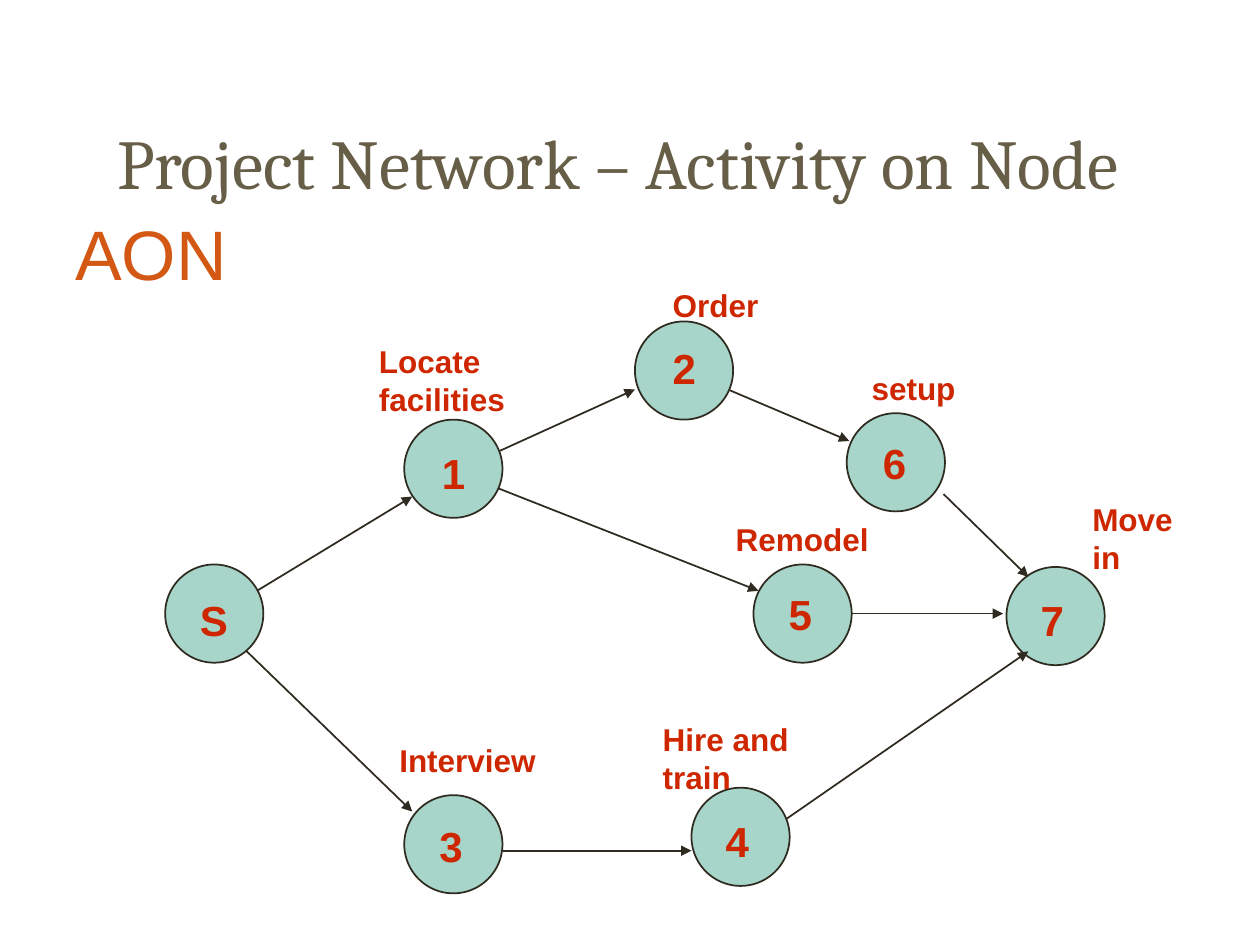
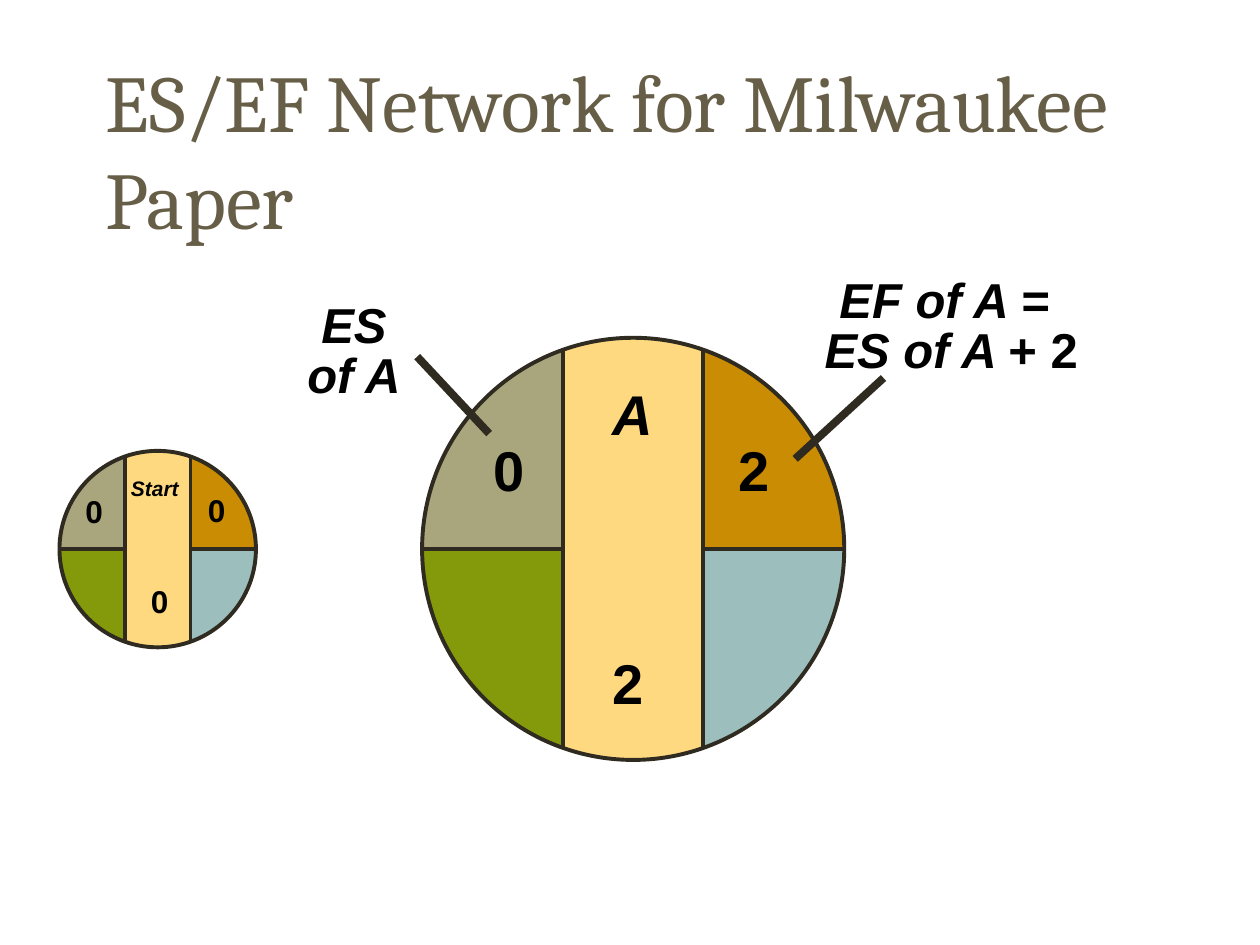
import math
from lxml import etree
from pptx import Presentation
from pptx import util as u
from pptx.dml import color
from pptx.enum import shapes, text
from pptx.oxml import ns

COLORS = {
    "title": "675E47", "accent": "D25814", "label": "CE2700", "ink": "000000",
    "line": "2F2B20", "node": "A7D5C9", "bar": "FFD980", "early start": "A9A57C",
    "early finish": "CA8C02", "late start": "849A0A", "late finish": "9CBEBD",
}
BODY_FONT, TITLE_FONT = "Arial", "Cambria"
TITLE_WIDTH = 21.59

NODE_SIZE = 1.98
NODES = [
    ("S", 3.33, 11.38, 3.78, 11.86),
    ("1", 8.15, 8.46, 8.66, 8.89),
    ("2", 12.8, 6.48, 13.31, 6.78),
    ("3", 8.15, 16.03, 8.61, 16.41),
    ("4", 13.94, 15.88, 14.38, 16.31),
    ("5", 15.19, 11.38, 15.65, 11.73),
    ("6", 17.07, 8.33, 17.55, 8.69),
    ("7", 20.29, 11.43, 20.73, 11.86),
]
ACTIVITIES = [
    ("Locate\vfacilities", 7.39, 6.78, 3.3, 1.78),
    ("Order", 13.31, 5.64, 2.5, 1.02),
    ("setup", 17.32, 7.32, 2.5, 1.02),
    ("Interview", 7.8, 14.81, 3.6, 1.02),
    ("Remodel", 14.58, 10.36, 3.5, 1.02),
    ("Move\vin", 21.77, 9.96, 2.77, 1.78),
    ("Hire and\vtrain", 13.11, 14.4, 3.3, 1.78),
]
ARROWS_BEHIND_NODES = [
    (13.94, 7.54, 17.12, 8.89),
    (9.17, 9.5, 15.29, 11.91),
    (16.15, 12.37, 20.22, 12.37),
    (4.24, 12.42, 8.31, 16.36),
    (9.17, 9.5, 12.8, 7.85),
    (4.34, 12.42, 8.31, 10.01),
]
ARROWS_OVER_NODES = [
    (10.13, 17.15, 13.94, 17.15),
    (15.85, 16.51, 20.73, 13.13),
    (19.02, 9.96, 20.73, 11.63),
]

DIALS = [(1.2, 9.09, 3.96), (8.51, 6.81, 8.51)]
QUARTERS = [("early start", -1, -1), ("early finish", 1, -1),
            ("late finish", 1, 1), ("late start", -1, 1)]
DIAL_TEXTS = [
    ("Start", 2.39, 9.47, 1.6, 0.76, 12, True),
    ("0", 1.47, 9.8, 1, 1.02, 18, False),
    ("0", 2.79, 11.61, 1, 1.02, 18, False),
    ("0", 3.94, 9.78, 1, 1.02, 18, False),
    ("A", 12.09, 7.52, 1.4, 1.63, 32, True),
    ("2", 12.09, 12.94, 1.3, 1.63, 32, False),
    ("2", 14.63, 8.66, 1.3, 1.63, 32, False),
    ("0", 9.7, 8.66, 1.3, 1.63, 32, False),
]
CALLOUTS = [
    (["EF of A = \vES of A ", "+ 2"], (16.23, 5.49, 5.89, 2.29), (17.81, 7.62, 16.03, 9.25)),
    (["ES\vof A"], (5.66, 5.99, 2.95, 2.29), (8.41, 7.19, 9.86, 8.74)),
]


def rgb(name):
    return color.RGBColor.from_string(COLORS[name])


def cm(*lengths):
    return [u.Cm(round(length, 2)) for length in lengths]


def style_run(run, size, color_name, font=BODY_FONT, bold=False, italic=False):
    run.font.size = u.Pt(size)
    run.font.name = font
    run.font.bold = bold
    run.font.italic = italic
    run.font.color.rgb = rgb(color_name)


def add_text(slide, content, box, size, color_name, **style):
    shape = slide.shapes.add_textbox(*cm(*box))
    shape.text_frame.word_wrap = True
    paragraph = shape.text_frame.paragraphs[0]
    paragraph.text = content
    for run in paragraph.runs:
        style_run(run, size, color_name, **style)
    return shape


def add_title(slide, content, left, top, height, size, anchor):
    shape = add_text(slide, content, (left, top, TITLE_WIDTH, height), size, "title",
                     font=TITLE_FONT)
    shape.text_frame.vertical_anchor = anchor


def paint(shape, fill=None, line_width=None):
    shape.shadow.inherit = False
    if fill:
        shape.fill.solid()
        shape.fill.fore_color.rgb = rgb(fill)
    else:
        shape.fill.background()
    if line_width:
        shape.line.color.rgb = rgb("line")
        shape.line.width = u.Pt(line_width)
    else:
        shape.line.fill.background()


def add_circle(slide, left, top, size, fill=None, line_width=None):
    circle = slide.shapes.add_shape(shapes.MSO_SHAPE.OVAL, *cm(left, top, size, size))
    paint(circle, fill, line_width)


def add_line(slide, ends, width, arrow=False):
    connector = slide.shapes.add_connector(shapes.MSO_CONNECTOR.STRAIGHT, *cm(*ends))
    connector.line.color.rgb = rgb("line")
    connector.line.width = u.Pt(width)
    if arrow:
        line = connector.line._get_or_add_ln()
        etree.SubElement(line, ns.qn("a:tailEnd"), type="triangle")
    etree.SubElement(connector._element.spPr, ns.qn("a:effectLst"))


def add_dial(slide, left, top, size):
    radius = size / 2
    center_x, center_y = left + radius, top + radius
    bar = size / 6
    steps = 24
    reach = math.acos(bar / radius)
    add_circle(slide, left, top, size, "bar")
    for fill, side, half in QUARTERS:
        angles = [reach * step / steps for step in range(steps + 1)]
        arc = [cm(center_x + side * radius * math.cos(angle),
                  center_y + half * radius * math.sin(angle)) for angle in angles]
        corner = cm(center_x + side * bar, center_y)
        builder = slide.shapes.build_freeform(*corner)
        builder.add_line_segments(arc, close=True)
        paint(builder.convert_to_shape(), fill)
    add_circle(slide, left, top, size, line_width=2.25)
    rise = math.sqrt(radius ** 2 - bar ** 2)
    for side in (-1, 1):
        edge = center_x + side * bar
        add_line(slide, (edge, center_y - rise, edge, center_y + rise), 2.25)
        add_line(slide, (edge, center_y, center_x + side * radius, center_y), 2.25)


def add_callout(slide, parts, box, pointer):
    shape = add_text(slide, parts[0], box, 28, "ink", bold=True, italic=True)
    paragraph = shape.text_frame.paragraphs[0]
    paragraph.alignment = text.PP_ALIGN.CENTER
    paragraph.line_spacing = 0.85
    for part in parts[1:]:
        run = paragraph.add_run()
        run.text = part
        style_run(run, 28, "ink", bold=True)
    add_line(slide, pointer, 4.5)


def build_network_slide(slide):
    add_title(slide, "Project Network – Activity on Node", 2.11, 1.91, 2.31, 40,
              text.MSO_ANCHOR.BOTTOM)
    for ends in ARROWS_BEHIND_NODES:
        add_line(slide, ends, 1, arrow=True)
    for name, left, top, text_left, text_top in NODES:
        add_circle(slide, left, top, NODE_SIZE, "node", 1)
        add_text(slide, name, (text_left, text_top, 1.2, 1.27), 24, "label", bold=True)
    for name, *box in ACTIVITIES:
        add_text(slide, name, box, 18, "label", bold=True)
    for ends in ARROWS_OVER_NODES:
        add_line(slide, ends, 1, arrow=True)
    add_text(slide, "AON", (1.27, 4.11, 3.8, 1.96), 40, "accent")


def build_dial_slide(slide):
    add_title(slide, "ES/EF Network for Milwaukee Paper", 1.88, 1.14, 3.71, 46,
              text.MSO_ANCHOR.MIDDLE)
    for dial in DIALS:
        add_dial(slide, *dial)
    for content, left, top, width, height, size, italic in DIAL_TEXTS:
        add_text(slide, content, (left, top, width, height), size, "ink",
                 bold=True, italic=italic)
    for callout in CALLOUTS:
        add_callout(slide, *callout)


presentation = Presentation()
presentation.slide_width, presentation.slide_height = cm(25.4, 19.05)
for build in (build_network_slide, build_dial_slide):
    build(presentation.slides.add_slide(presentation.slide_layouts[6]))
presentation.save("out.pptx")
